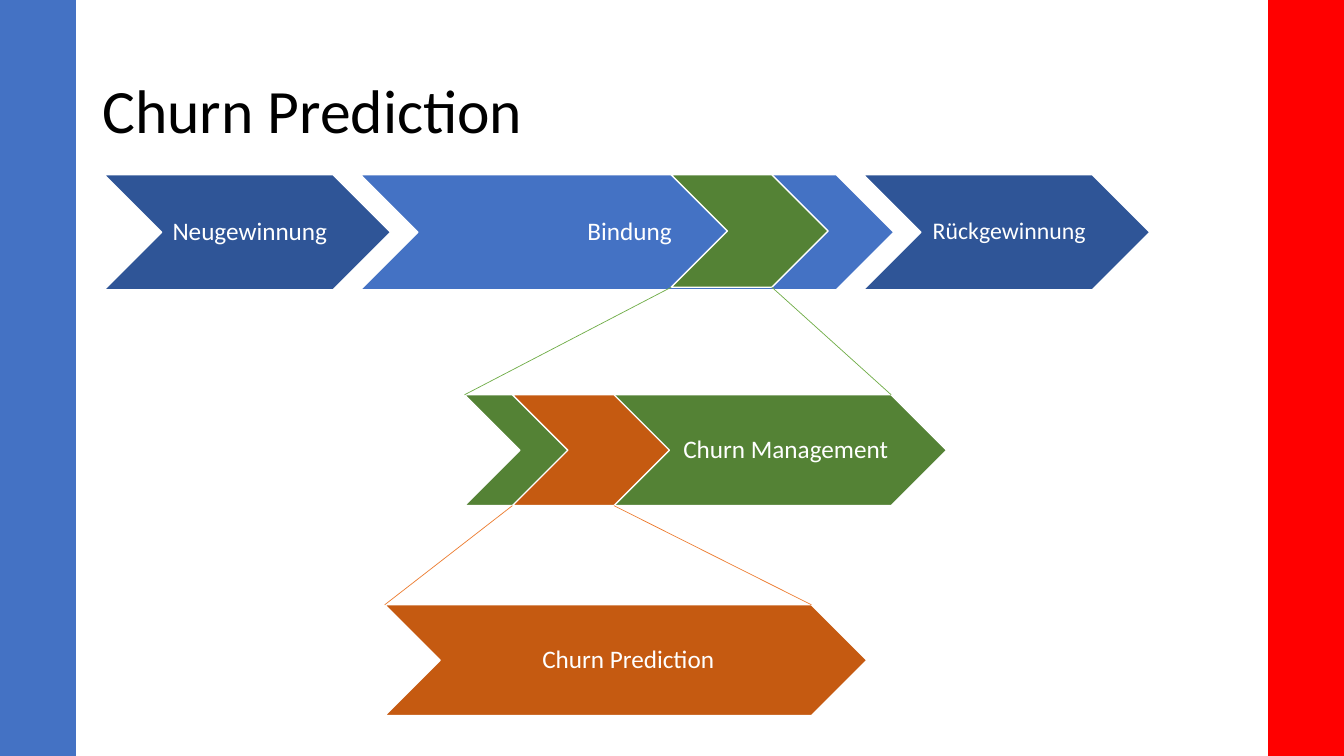
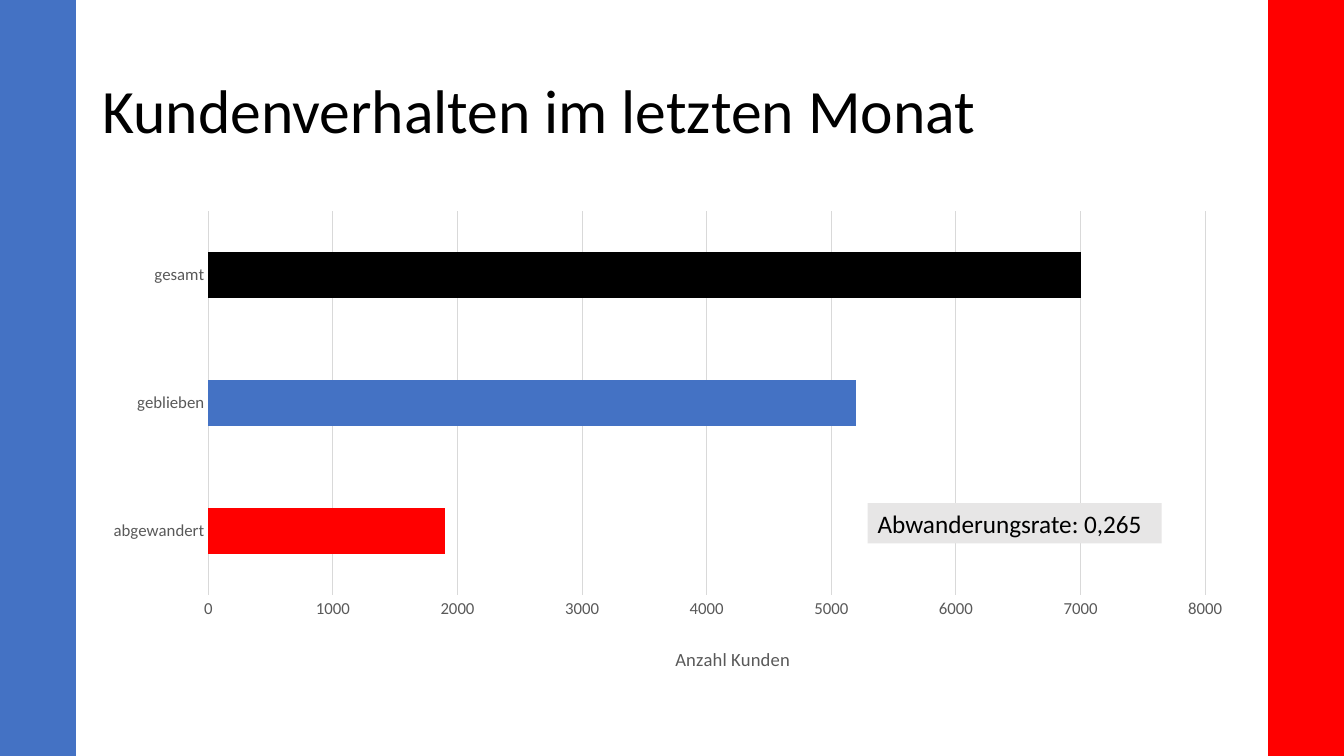
from dataclasses import dataclass

from lxml.etree import SubElement
from pptx import Presentation
from pptx.chart.data import CategoryChartData
from pptx.dml.color import RGBColor
from pptx.enum.chart import XL_CHART_TYPE, XL_TICK_MARK
from pptx.enum.shapes import MSO_CONNECTOR, MSO_SHAPE
from pptx.enum.text import MSO_ANCHOR, MSO_AUTO_SIZE, PP_ALIGN
from pptx.oxml import parse_xml
from pptx.oxml.ns import nsdecls, qn
from pptx.util import Inches, Pt

COLUMNS, ROWS = 16, 9
CELL = Inches(7.5) / ROWS
TITLE_ONLY = 5


@dataclass(frozen=True)
class Theme:
    font: str = "Calibri"
    black: str = "000000"
    white: str = "FFFFFF"
    blue: str = "4472C4"
    dark_blue: str = "2F5597"
    red: str = "FF0000"
    green: str = "548235"
    light_green: str = "70AD47"
    orange: str = "C55A11"
    light_orange: str = "ED7D31"
    note_grey: str = "E7E6E6"
    grid_grey: str = "D9D9D9"
    label_grey: str = "595959"
    title_size: float = 44
    body_size: float = 18
    small_body_size: float = 17
    axis_title_size: float = 13.3
    tick_size: float = 12
    outline: float = 1
    hairline: float = 0.5
    axis_line: float = 0.75


THEME = Theme()


def grid(*cells):
    """Turn numbers of square grid cells into slide lengths."""
    return [round(cell * CELL) for cell in cells]


def style_font(font, size, color):
    font.name = THEME.font
    font.size = Pt(size)
    font.color.rgb = RGBColor.from_string(color)


def style_line(line, color, width):
    line.color.rgb = RGBColor.from_string(color)
    line.width = Pt(width)


def fill_solid(fill, color):
    fill.solid()
    fill.fore_color.rgb = RGBColor.from_string(color)


def add_block(slide, preset, box, color, line_color):
    shape = slide.shapes.add_shape(preset, *grid(*box))
    shape.shadow.inherit = False
    fill_solid(shape.fill, color)
    style_line(shape.line, line_color, THEME.outline)
    return shape


def add_master_bands(presentation, slide):
    """Draw the side bands, then move them behind everything on the master."""
    width = 0.9
    master_tree = presentation.slide_master.shapes.element
    for left, color in ((0, THEME.blue), (COLUMNS - width, THEME.red)):
        band = add_block(slide, MSO_SHAPE.RECTANGLE, (left, 0, width, ROWS), color, color)
        master_tree.insert(2, band.element)


def add_titled_slide(presentation, text):
    slide = presentation.slides.add_slide(presentation.slide_layouts[TITLE_ONLY])
    title = slide.shapes.title
    title.left, title.top, title.width, title.height = grid(1.1, 0.48, 13.8, 1.74)
    frame = title.text_frame
    frame.text = text
    frame.auto_size = MSO_AUTO_SIZE.NONE
    frame.vertical_anchor = MSO_ANCHOR.MIDDLE
    paragraph = frame.paragraphs[0]
    paragraph.alignment = PP_ALIGN.LEFT
    paragraph.line_spacing = 0.9
    style_font(paragraph.font, THEME.title_size, THEME.black)
    return slide


def add_chevron(slide, box, color, text="", size=THEME.body_size, alignment=PP_ALIGN.CENTER):
    chevron = add_block(slide, MSO_SHAPE.CHEVRON, box, color, THEME.white)
    if text:
        frame = chevron.text_frame
        frame.text = text
        frame.word_wrap = True
        frame.vertical_anchor = MSO_ANCHOR.MIDDLE
        frame.margin_left = Inches(0.08)
        frame.margin_top = frame.margin_right = frame.margin_bottom = Inches(0.03)
        paragraph = frame.paragraphs[0]
        paragraph.alignment = alignment
        paragraph.line_spacing = 0.9
        style_font(paragraph.font, size, THEME.white)
    return chevron


def add_zoom_lines(slide, part, whole, color):
    """Join the lower corners of a part to the upper corners of its enlargement."""
    def corners(chevron):
        return chevron.left, chevron.left + chevron.width - chevron.height // 2

    for start, end in zip(corners(part), corners(whole)):
        line = slide.shapes.add_connector(
            MSO_CONNECTOR.STRAIGHT, start, part.top + part.height, end, whole.top)
        style_line(line.line, color, THEME.hairline)
        SubElement(line.element.spPr, qn("a:effectLst"))


def set_layout(element, position, **shares):
    """Place a chart part by shares of the chart's size."""
    for old_layout in element.findall(qn("c:layout")):
        element.remove(old_layout)
    target = '<c:layoutTarget val="inner"/>' if "w" in shares else ""
    modes = "".join(f'<c:{key}Mode val="edge"/>' for key in ("x", "y"))
    values = "".join(f'<c:{key} val="{share}"/>' for key, share in shares.items())
    element.insert(position, parse_xml(
        f'<c:layout {nsdecls("c")}><c:manualLayout>{target}{modes}{values}'
        "</c:manualLayout></c:layout>"))


def add_customer_chart(slide, box, bars, axis_title):
    """Draw one horizontal bar per (category, value, color)."""
    data = CategoryChartData()
    data.categories = [category for category, _, _ in bars]
    data.add_series("Kunden", [value for _, value, _ in bars])
    chart = slide.shapes.add_chart(XL_CHART_TYPE.BAR_CLUSTERED, *grid(*box), data).chart
    chart.has_legend = chart.has_title = False
    style_font(chart.font, THEME.tick_size, THEME.label_grey)

    plot = chart.plots[0]
    plot.gap_width = 182
    plot.vary_by_categories = False
    series = plot.series[0]
    fill_solid(series.format.fill, THEME.blue)
    for index, (_, _, color) in enumerate(bars):
        fill_solid(series.points[index].format.fill, color)

    for axis in (chart.category_axis, chart.value_axis):
        axis.major_tick_mark = axis.minor_tick_mark = XL_TICK_MARK.NONE
        style_font(axis.tick_labels.font, THEME.tick_size, THEME.label_grey)
    style_line(chart.category_axis.format.line, THEME.grid_grey, THEME.axis_line)

    value_axis = chart.value_axis
    value_axis.minimum_scale, value_axis.maximum_scale = 0, 8000
    value_axis.major_unit = 1000
    value_axis.format.line.fill.background()
    style_line(value_axis.major_gridlines.format.line, THEME.grid_grey, THEME.axis_line)
    frame = value_axis.axis_title.text_frame
    frame.text = axis_title
    font = frame.paragraphs[0].font
    style_font(font, THEME.axis_title_size, THEME.label_grey)
    font.bold = False

    set_layout(value_axis.axis_title.element, 1, x=0.5, y=0.92)
    set_layout(chart.element.find(".//" + qn("c:plotArea")), 0, x=0.1, y=0.02, w=0.86, h=0.8)


def add_note(slide, box, text):
    note = slide.shapes.add_textbox(*grid(*box))
    fill_solid(note.fill, THEME.note_grey)
    frame = note.text_frame
    frame.text = text
    frame.word_wrap = True
    frame.auto_size = MSO_AUTO_SIZE.SHAPE_TO_FIT_TEXT
    style_font(frame.paragraphs[0].font, THEME.body_size, THEME.black)


def build_process_slide(slide):
    left, overlap = 1.24, 0.36
    for text, width, color, size in (
        ("Neugewinnung", 3.41, THEME.dark_blue, THEME.body_size),
        ("Bindung", 6.35, THEME.blue, THEME.body_size),
        ("Rückgewinnung", 3.41, THEME.dark_blue, THEME.small_body_size),
    ):
        add_chevron(slide, (left, 2.08, width, 1.37), color, text, size)
        left += width - overlap

    part_width, whole_width, height = 1.87, 5.74, 1.32
    management_part = add_chevron(slide, (7.99, 2.08, part_width, 1.34), THEME.green)
    management = add_chevron(slide, (5.53, 4.7, whole_width, height), THEME.green,
                             "Churn Management", alignment=PP_ALIGN.RIGHT)
    prediction_part = add_chevron(slide, (6.1, 4.7, part_width, height), THEME.orange)
    prediction = add_chevron(slide, (4.58, 7.2, whole_width, height), THEME.orange,
                             "Churn Prediction")
    add_zoom_lines(slide, management_part, management, THEME.light_green)
    add_zoom_lines(slide, prediction_part, prediction, THEME.light_orange)


def build_customer_slide(slide):
    bars = (
        ("abgewandert", 1900, THEME.red),
        ("geblieben", 5200, THEME.blue),
        ("gesamt", 7000, THEME.black),
    )
    add_customer_chart(slide, (1.1, 2.4, 13.8, 5.71), bars, "Anzahl Kunden")
    add_note(slide, (10.33, 5.99, 3.5, 0.48), "Abwanderungsrate: 0,265")


def main():
    presentation = Presentation()
    presentation.slide_width, presentation.slide_height = grid(COLUMNS, ROWS)
    process_slide = add_titled_slide(presentation, "Churn Prediction")
    add_master_bands(presentation, process_slide)
    build_process_slide(process_slide)
    build_customer_slide(add_titled_slide(presentation, "Kundenverhalten im letzten Monat"))
    presentation.save("out.pptx")


if __name__ == "__main__":
    main()
